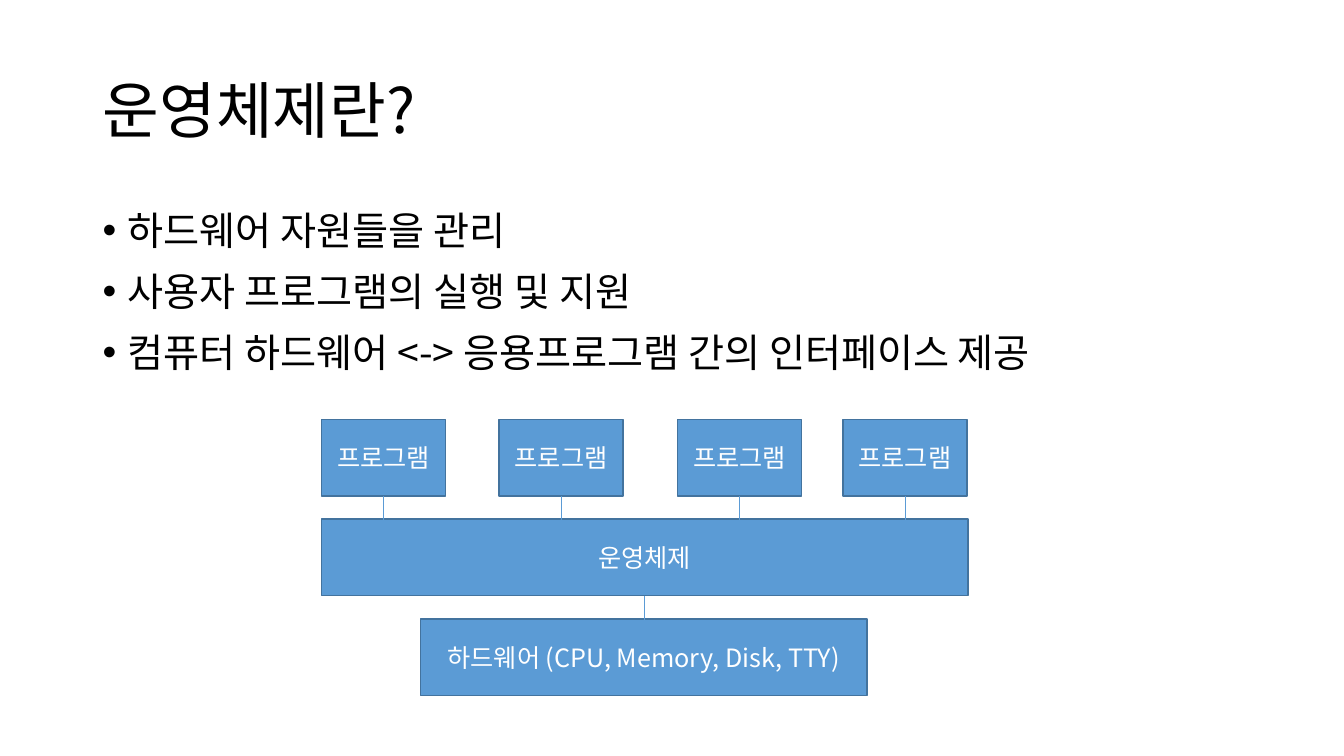
from lxml import etree
from pptx import Presentation
from pptx.dml.color import RGBColor
from pptx.enum.shapes import MSO_CONNECTOR, MSO_SHAPE
from pptx.enum.text import MSO_ANCHOR, PP_ALIGN
from pptx.oxml.ns import qn
from pptx.util import Inches, Pt

RECTANGLE = MSO_SHAPE.RECTANGLE
STRAIGHT = MSO_CONNECTOR.STRAIGHT
MIDDLE = MSO_ANCHOR.MIDDLE
CENTER = PP_ALIGN.CENTER
FONT = "Noto Sans CJK KR"
BLUE = "5B9BD5"
BOX_HEIGHT = 0.76
PROGRAM_TOP, SYSTEM_TOP, HARDWARE_TOP = 4.16, 5.15, 6.14
PROGRAM_WIDTH = 1.23
PROGRAM_LEFTS = [3.19, 4.95, 6.72, 8.36]


def color(value):
    return RGBColor.from_string(value)


def add_span(para, text, size, shade):
    span = para.add_run()
    span.text = text
    span.font.size = Pt(size)
    span.font.name = FONT
    span.font.color.rgb = color(shade)
    east_asian = etree.SubElement(span.font._element, qn("a:ea"))
    east_asian.set("typeface", FONT)


deck = Presentation()
deck.slide_width = Inches(13.33)
deck.slide_height = Inches(7.5)
page = deck.slides.add_slide(deck.slide_layouts[6])

title = page.shapes.add_textbox(Inches(0.92), Inches(0.4), Inches(11.5), Inches(1.45))
title.text_frame.word_wrap = True
title.text_frame.vertical_anchor = MIDDLE
para = title.text_frame.paragraphs[0]
para.line_spacing = 0.9
add_span(para, "운영체제란?", 44, "000000")

body = page.shapes.add_textbox(Inches(0.92), Inches(2), Inches(11.5), Inches(4.76))
body.text_frame.word_wrap = True
points = [
    "하드웨어 자원들을 관리",
    "사용자 프로그램의 실행 및 지원",
    "컴퓨터 하드웨어 <-> 응용프로그램 간의 인터페이스 제공",
]
for index, point in enumerate(points):
    para = body.text_frame.paragraphs[0] if index == 0 else body.text_frame.add_paragraph()
    if index:
        para.space_before = Pt(10)
    properties = para._p.get_or_add_pPr()
    properties.set("marL", str(Inches(0.25)))
    properties.set("indent", str(-Inches(0.25)))
    etree.SubElement(properties, qn("a:buFont")).set("typeface", "Arial")
    etree.SubElement(properties, qn("a:buChar")).set("char", "•")
    add_span(para, point, 28, "000000")

boxes = [
    ("하드웨어 (CPU, Memory, Disk, TTY)", 4.17, HARDWARE_TOP, 4.43),
    ("운영체제", 3.19, SYSTEM_TOP, 6.41),
]
boxes += [("프로그램", left, PROGRAM_TOP, PROGRAM_WIDTH) for left in PROGRAM_LEFTS]
for label, left, top, width in boxes:
    box = page.shapes.add_shape(
        RECTANGLE, Inches(left), Inches(top), Inches(width), Inches(BOX_HEIGHT)
    )
    box.shadow.inherit = False
    box.fill.solid()
    box.fill.fore_color.rgb = color(BLUE)
    box.line.color.rgb = color("43739E")
    box.line.width = Pt(1)
    box.text_frame.word_wrap = True
    box.text_frame.vertical_anchor = MIDDLE
    para = box.text_frame.paragraphs[0]
    para.alignment = CENTER
    add_span(para, label, 18, "FFFFFF")

links = [(left + PROGRAM_WIDTH / 2, PROGRAM_TOP + BOX_HEIGHT, 5.44) for left in PROGRAM_LEFTS]
links.append((6.39, SYSTEM_TOP + BOX_HEIGHT, 6.38))
for center, top, bottom in links:
    link = page.shapes.add_connector(
        STRAIGHT, Inches(center), Inches(top), Inches(center), Inches(bottom)
    )
    link.line.color.rgb = color(BLUE)
    link.line.width = Pt(0.5)
    etree.SubElement(link._element.spPr, qn("a:effectLst"))

deck.save("out.pptx")
